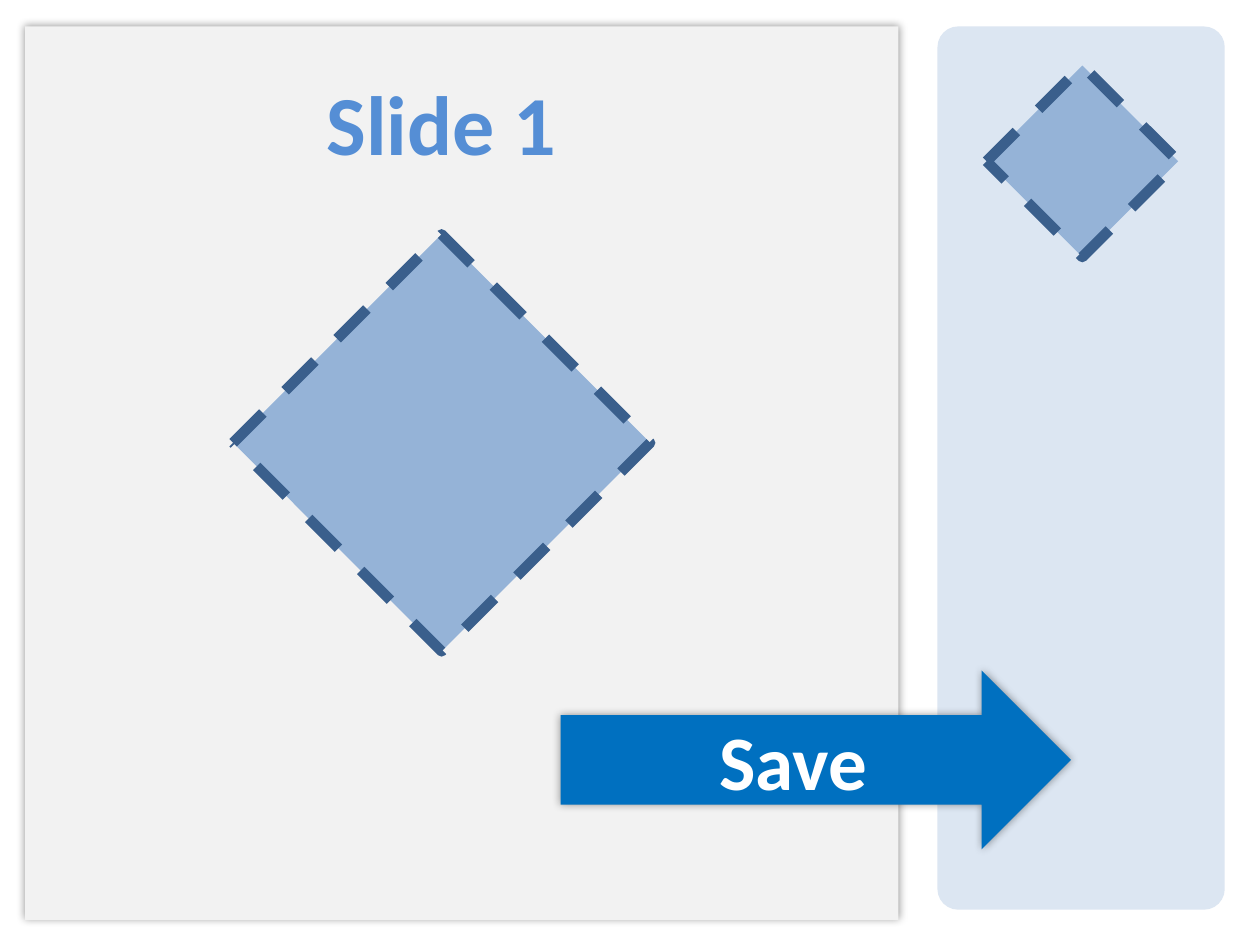
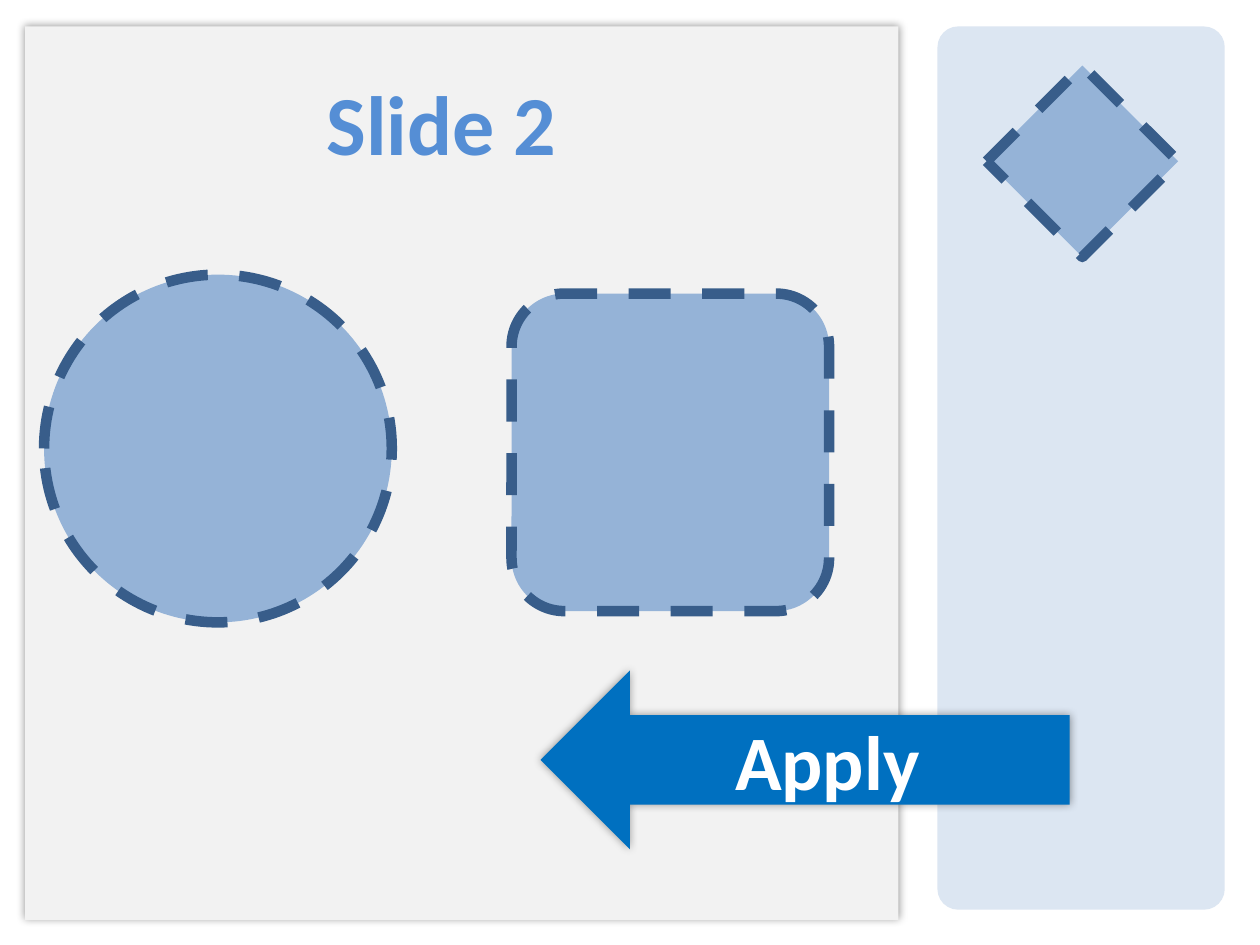
import pptx
import pptx.util
import pptx.dml.color
import pptx.enum.dml
import pptx.enum.shapes
import pptx.enum.text
from lxml import etree
from pptx.oxml.ns import qn

Inches = pptx.util.Inches
SHAPE = pptx.enum.shapes.MSO_SHAPE
ANCHOR = pptx.enum.text.MSO_ANCHOR

COLORS = {
    "page": "F2F2F2",
    "sidebar": "DCE6F2",
    "title": "558ED5",
    "arrow": "0070C0",
    "arrow_text": "FFFFFF",
    "figure": "95B3D7",
    "shadow": "000000",
}
FONT = "Calibri"
PAGE = (0.2, 0.21, 6.93, 7.09)
SIDEBAR = (7.44, 0.21, 2.28, 7.01)
TITLE = (1.3, 0.52, 4.41, 0.91)
STORED_FIGURE = (SHAPE.DIAMOND, 7.83, 0.52, 1.52)
ARROW_TOP, ARROW_HEIGHT = 5.32, 1.42

SLIDES = [
    {
        "title": "Slide 1",
        "outline": "3A5F8C",
        "figures": [STORED_FIGURE, (SHAPE.DIAMOND, 1.85, 1.86, 3.31)],
        "arrow": ("Save", SHAPE.RIGHT_ARROW, 4.45, 4.05),
    },
    {
        "title": "Slide 2",
        "outline": "385D8A",
        "figures": [
            (SHAPE.ROUNDED_RECTANGLE, 4.06, 2.33, 2.52),
            (SHAPE.OVAL, 0.35, 2.18, 2.76),
            STORED_FIGURE,
        ],
        "arrow": ("Apply", SHAPE.LEFT_ARROW, 4.29, 4.2),
    },
]


def rgb(value):
    return pptx.dml.color.RGBColor.from_string(value)


def add_part(slide, kind, box, fill, outline=None, shadow=False):
    part = slide.shapes.add_shape(kind, *map(Inches, box))
    part.fill.solid()
    part.fill.fore_color.rgb = rgb(fill)
    if outline:
        part.line.color.rgb = rgb(outline)
        part.line.width = pptx.util.Pt(6)
        part.line.dash_style = pptx.enum.dml.MSO_LINE.DASH
    else:
        part.line.fill.background()
    part.shadow.inherit = False
    if shadow:
        add_glow(part)
    return part


def add_glow(part):
    effects = part._element.spPr.find(qn("a:effectLst"))
    outer = etree.SubElement(
        effects, qn("a:outerShdw"), blurRad=str(pptx.util.Pt(5)), dist="0", dir="0"
    )
    color = etree.SubElement(outer, qn("a:srgbClr"), val=COLORS["shadow"])
    etree.SubElement(color, qn("a:alpha"), val="40000")


def write(part, text, size, color, anchor):
    frame = part.text_frame
    frame.text = text
    frame.word_wrap = True
    frame.auto_size = pptx.enum.text.MSO_AUTO_SIZE.NONE
    frame.vertical_anchor = anchor
    paragraph = frame.paragraphs[0]
    paragraph.alignment = pptx.enum.text.PP_ALIGN.CENTER
    font = paragraph.runs[0].font
    font.name = FONT
    font.size = pptx.util.Pt(size)
    font.bold = True
    font.color.rgb = rgb(color)


def add_frame(slide, text):
    sidebar = add_part(slide, SHAPE.ROUNDED_RECTANGLE, SIDEBAR, COLORS["sidebar"])
    sidebar.adjustments[0] = 0.072
    page = add_part(slide, SHAPE.RECTANGLE, PAGE, COLORS["page"], shadow=True)
    title = slide.shapes.title
    for backdrop in (sidebar, page):
        title._element.addprevious(backdrop._element)
    title.left, title.top, title.width, title.height = map(Inches, TITLE)
    write(title, text, size=48, color=COLORS["title"], anchor=ANCHOR.TOP)


def add_arrow(slide, text, kind, left, width):
    box = (left, ARROW_TOP, width, ARROW_HEIGHT)
    arrow = add_part(slide, kind, box, COLORS["arrow"], shadow=True)
    write(arrow, text, size=44, color=COLORS["arrow_text"], anchor=ANCHOR.MIDDLE)


def main():
    deck = pptx.Presentation()
    deck.slide_width, deck.slide_height = Inches(10), Inches(7.5)
    for content in SLIDES:
        slide = deck.slides.add_slide(deck.slide_layouts[5])
        add_frame(slide, content["title"])
        for kind, left, top, side in content["figures"]:
            box = (left, top, side, side)
            add_part(slide, kind, box, COLORS["figure"], outline=content["outline"])
        add_arrow(slide, *content["arrow"])
    deck.save("out.pptx")


if __name__ == "__main__":
    main()
